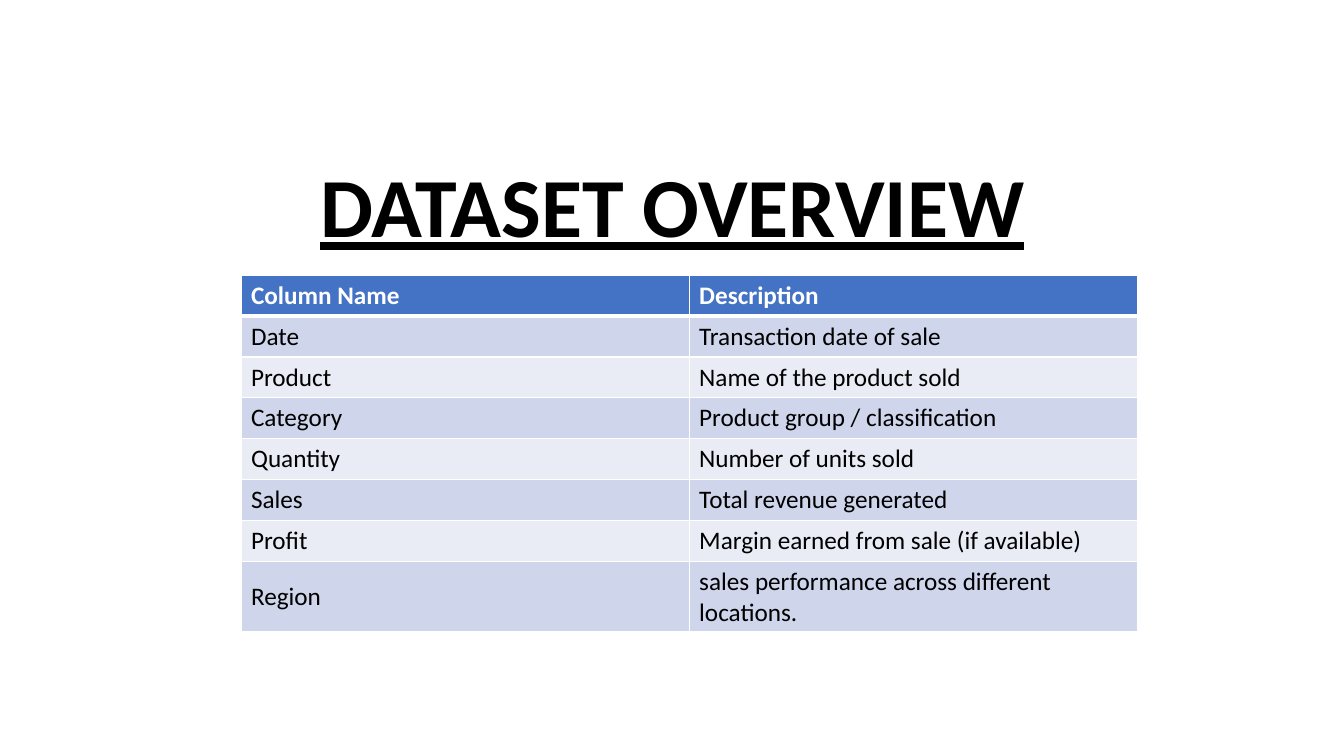
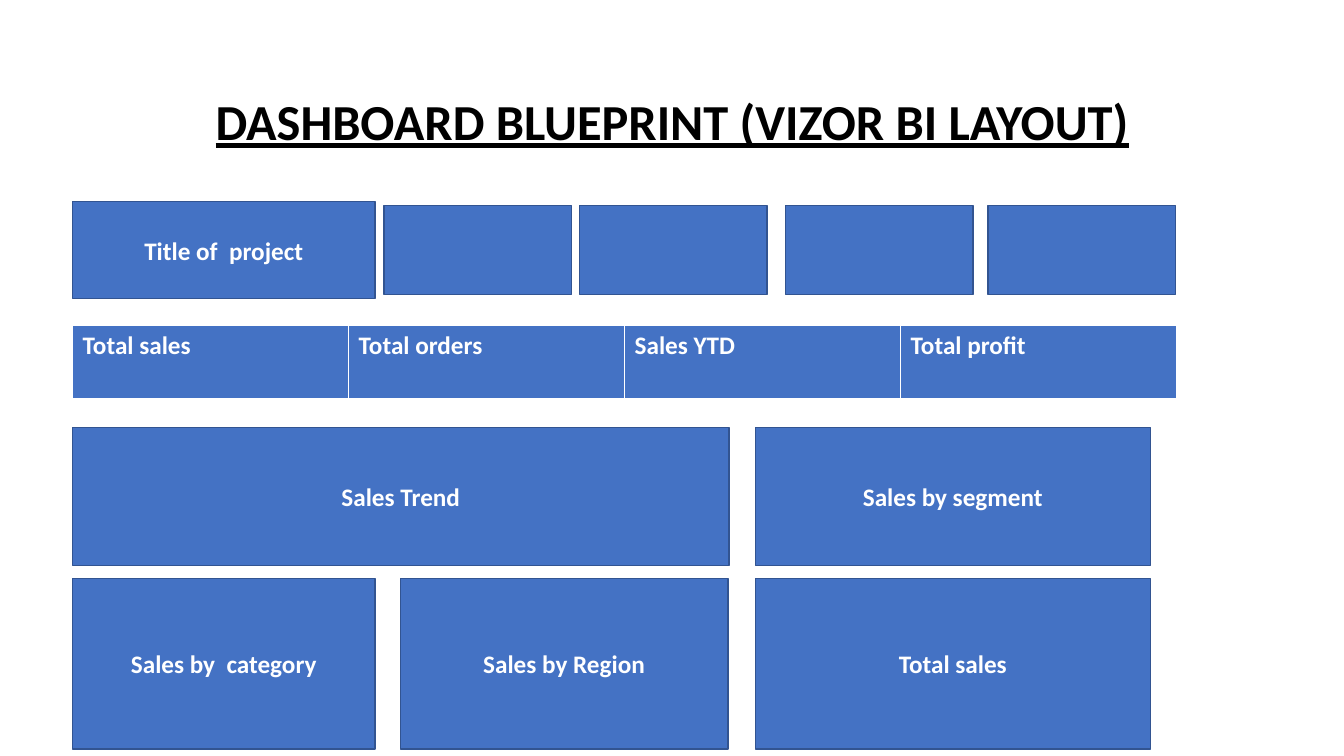
from lxml.etree import SubElement
from pptx import Presentation
from pptx.dml.color import RGBColor
from pptx.enum.shapes import MSO_SHAPE as Shape
from pptx.enum.text import MSO_ANCHOR as Anchor, PP_ALIGN as Align
from pptx.oxml.ns import qn
from pptx.util import Emu, Pt

EMU_PER_PX = 9144  # 100 px to the inch
FONT = "Calibri"
BLACK, WHITE = "000000", "FFFFFF"
BLUE, DARK_BLUE = "4472C4", "325491"
BANDS = ("CFD5EA", "E9EBF5")

COLUMNS = [
    ("Column Name", "Description"),
    ("Date", "Transaction date of sale"),
    ("Product", "Name of the product sold"),
    ("Category", "Product group / classification"),
    ("Quantity", "Number of units sold"),
    ("Sales", "Total revenue generated"),
    ("Profit", "Margin earned from sale (if available)"),
    ("Region", "sales performance across different locations."),
]
INDICATORS = ["Total sales", "Total orders", "Sales YTD", "Total profit"]

LEFT, MIDDLE, RIGHT = 72, 397, 749
NARROW, MEDIUM, WIDE, TREND = 300, 325, 392, 651
SLICER_LEFTS = (381, 575, 779, 980)
TREND_ROW = (424, 137)
DETAIL_ROW = (574, 169)
PANELS = [
    ("Title of  project", LEFT, 200, NARROW, 96),
    *[("", left, 204, 186, 88) for left in SLICER_LEFTS],
    ("Sales Trend", LEFT, TREND_ROW[0], TREND, TREND_ROW[1]),
    ("Sales by segment", RIGHT, TREND_ROW[0], WIDE, TREND_ROW[1]),
    ("Sales by  category", LEFT, DETAIL_ROW[0], NARROW, DETAIL_ROW[1]),
    ("Sales by Region", MIDDLE, DETAIL_ROW[0], MEDIUM, DETAIL_ROW[1]),
    ("Total sales", RIGHT, DETAIL_ROW[0], WIDE, DETAIL_ROW[1]),
]


def px(length):
    return Emu(length * EMU_PER_PX)


def box(*lengths):
    return [px(length) for length in lengths]


def color(hex_code):
    return RGBColor.from_string(hex_code)


def fill_solid(fill, hex_code):
    fill.solid()
    fill.fore_color.rgb = color(hex_code)


def set_text(text_frame, text, size, hex_code, bold=True, underline=False):
    text_frame.text = text
    for run in text_frame.paragraphs[0].runs:
        font = run.font
        font.name, font.size = FONT, Pt(size)
        font.bold, font.underline = bold, underline
        font.color.rgb = color(hex_code)


def add_slide(presentation):
    return presentation.slides.add_slide(presentation.slide_layouts[6])


def add_title(slide, text, size, top, height):
    text_frame = slide.shapes.add_textbox(*box(167, top, 1000, height)).text_frame
    text_frame.word_wrap = True
    text_frame.vertical_anchor = Anchor.BOTTOM
    set_text(text_frame, text, size, BLACK, underline=True)
    paragraph = text_frame.paragraphs[0]
    paragraph.alignment = Align.CENTER
    paragraph.line_spacing = 0.9


def add_panel(slide, text, left, top, width, height):
    shape = slide.shapes.add_shape(Shape.RECTANGLE, *box(left, top, width, height))
    shape.shadow.inherit = False
    fill_solid(shape.fill, BLUE)
    shape.line.color.rgb = color(DARK_BLUE)
    shape.line.width = Pt(1)
    if text:
        shape.text_frame.vertical_anchor = Anchor.MIDDLE
        set_text(shape.text_frame, text, 18, WHITE)
        shape.text_frame.paragraphs[0].alignment = Align.CENTER


def set_borders(cell, bottom_width):
    """Draw white borders; call before the cell is filled, as the schema orders them."""
    properties = cell._tc.get_or_add_tcPr()
    for side, width in (("L", 1), ("R", 1), ("T", 1), ("B", bottom_width)):
        line = SubElement(properties, qn(f"a:ln{side}"), w=str(Pt(width)))
        fill = SubElement(line, qn("a:solidFill"))
        SubElement(fill, qn("a:srgbClr"), val=WHITE)


def add_table(slide, rows, left, top, width, height, anchor):
    """Add a table with a blue first row and banded rows below; return it."""
    frame = slide.shapes.add_table(
        len(rows), len(rows[0]), *box(left, top, width, height))
    table = frame.table
    table.first_row = table.horz_banding = False
    for row_index, row in enumerate(rows):
        is_header = row_index == 0
        fill = BLUE if is_header else BANDS[(row_index - 1) % 2]
        for column_index, text in enumerate(row):
            cell = table.cell(row_index, column_index)
            cell.vertical_anchor = anchor
            set_borders(cell, 3 if is_header else 1)
            fill_solid(cell.fill, fill)
            set_text(cell.text_frame, text, 18,
                     WHITE if is_header else BLACK, bold=is_header)
    return table


def add_dataset_slide(presentation):
    slide = add_slide(presentation)
    add_title(slide, "DATASET OVERVIEW", 60, 123, 136)
    table = add_table(slide, COLUMNS, 239, 273, 889, 354, Anchor.MIDDLE)
    *single_line_rows, two_line_row = table.rows
    for row in single_line_rows:
        row.height = px(284) // len(single_line_rows)
    two_line_row.height = px(70)


def add_dashboard_slide(presentation):
    slide = add_slide(presentation)
    add_title(slide, "DASHBOARD BLUEPRINT (VIZOR BI LAYOUT)", 36, 59, 96)
    add_table(slide, [INDICATORS], LEFT, 323, 1095, 74, Anchor.TOP)
    for panel in PANELS:
        add_panel(slide, *panel)


def main():
    presentation = Presentation()
    presentation.slide_width, presentation.slide_height = box(1333, 750)
    add_dataset_slide(presentation)
    add_dashboard_slide(presentation)
    presentation.save("out.pptx")


if __name__ == "__main__":
    main()
